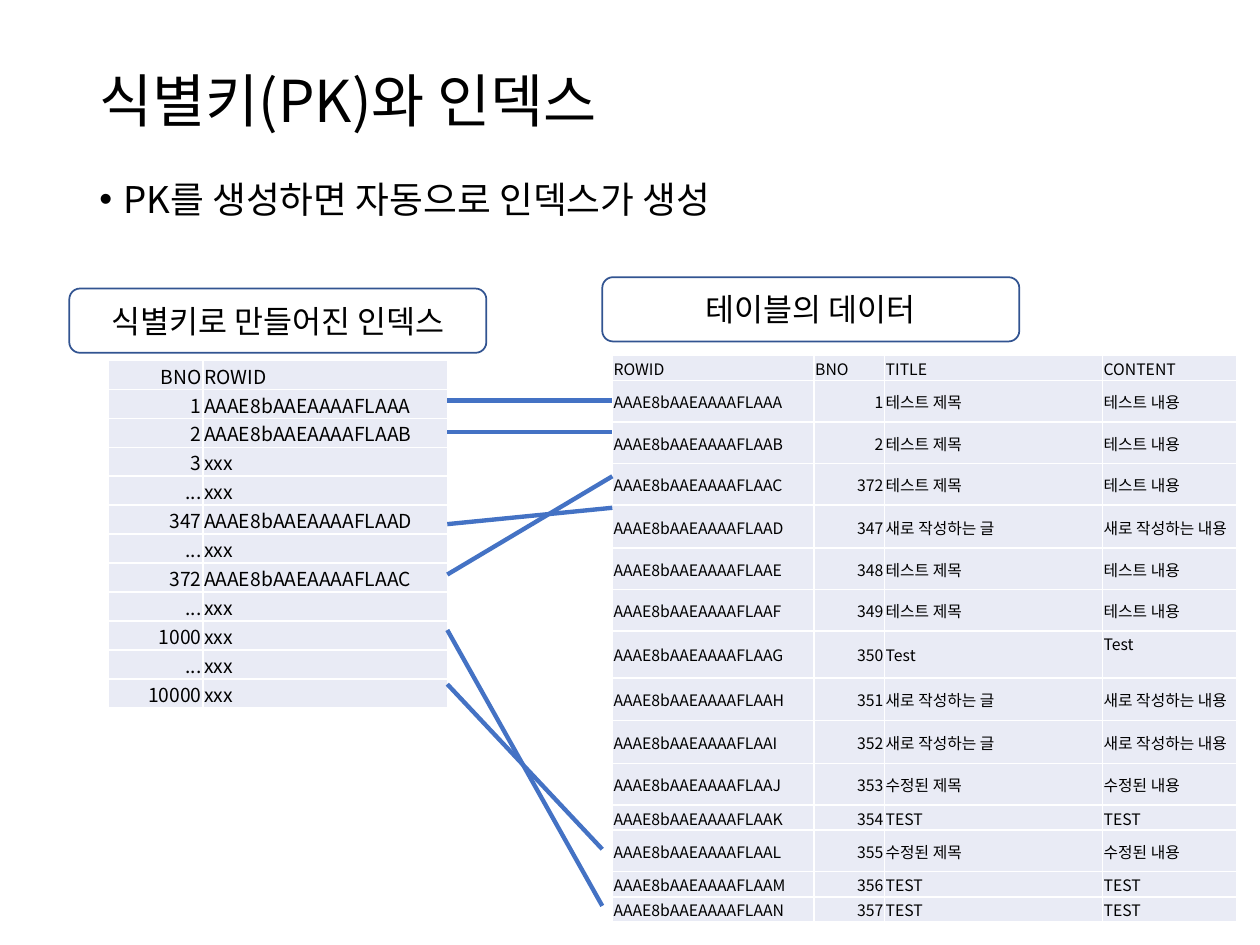
from lxml import etree
from pptx import Presentation
from pptx.dml.color import RGBColor
from pptx.enum.shapes import MSO_CONNECTOR, MSO_SHAPE
from pptx.enum.text import MSO_ANCHOR, PP_ALIGN
from pptx.oxml.ns import qn
from pptx.util import Inches, Pt

FONT = "Noto Sans CJK KR"
LEFT, CENTER, RIGHT = PP_ALIGN.LEFT, PP_ALIGN.CENTER, PP_ALIGN.RIGHT
TOP, MIDDLE = MSO_ANCHOR.TOP, MSO_ANCHOR.MIDDLE
ROUNDED, STRAIGHT = MSO_SHAPE.ROUNDED_RECTANGLE, MSO_CONNECTOR.STRAIGHT


def rgb(value):
    return RGBColor.from_string(value)


def write(tf, text, size=18, align=LEFT, color="000000", spacing=1.0):
    """Put formatted text in the first paragraph and return it."""
    p = tf.paragraphs[0]
    p.alignment, p.line_spacing = align, spacing
    r = p.add_run()
    r.text = text
    r.font.size, r.font.name = Pt(size), FONT
    r.font.color.rgb = rgb(color)
    etree.SubElement(r.font._element, qn("a:ea"), typeface=FONT)
    return p


prs = Presentation()
prs.slide_width, prs.slide_height = Inches(10), Inches(7.5)
s = prs.slides.add_slide(prs.slide_layouts[6])

# Title
tf = s.shapes.add_textbox(Inches(0.69), Inches(0.4), Inches(8.62), Inches(0.85)).text_frame
tf.word_wrap, tf.vertical_anchor = True, MIDDLE
write(tf, "식별키(PK)와 인덱스", size=33, spacing=0.9)

# Bullet
tf = s.shapes.add_textbox(Inches(0.69), Inches(1.39), Inches(8.62), Inches(5.37)).text_frame
tf.word_wrap, tf.vertical_anchor = True, TOP
p = write(tf, "PK를 생성하면 자동으로 인덱스가 생성", size=21, spacing=0.9)
p.space_before = Pt(7.5)
pPr = p._p.get_or_add_pPr()
pPr.set("marL", str(Inches(0.19)))
pPr.set("indent", str(-Inches(0.19)))
etree.SubElement(pPr, qn("a:buFont"), typeface="Arial")
etree.SubElement(pPr, qn("a:buChar"), char="•")

# Table contents
ROWID = "AAAE8bAAEAAAAFLAA"
index_rows = [
    ("BNO", "ROWID"),
    ("1", ROWID + "A"),
    ("2", ROWID + "B"),
    ("3", "xxx"),
    ("...", "xxx"),
    ("347", ROWID + "D"),
    ("...", "xxx"),
    ("372", ROWID + "C"),
    ("...", "xxx"),
    ("1000", "xxx"),
    ("...", "xxx"),
    ("10000", "xxx"),
]
test = ("테스트 제목", "테스트 내용")
new = ("새로 작성하는 글", "새로 작성하는 내용")
edited = ("수정된 제목", "수정된 내용")
upper = ("TEST", "TEST")
records = [
    ("1", test), ("2", test), ("372", test), ("347", new), ("348", test),
    ("349", test), ("350", ("Test", "Test")), ("351", new), ("352", new),
    ("353", edited), ("354", upper), ("355", edited), ("356", upper), ("357", upper),
]
data_rows = [("ROWID", "BNO", "TITLE", "CONTENT")]
for letter, (bno, texts) in zip("ABCDEFGHIJKLMN", records):
    data_rows.append((ROWID + letter, bno, *texts))
data_heights = [0.2, 0.33, 0.33, 0.33, 0.34, 0.33, 0.33, 0.37,
                0.34, 0.34, 0.33, 0.2, 0.33, 0.2, 0.2]

# Tables: left, top, column widths, row heights, rows, text size, right-aligned cells
tables = [
    (0.86, 2.86, [0.75, 1.94], [0.23] * 12, index_rows, 11, lambda i, j: j == 0),
    (4.86, 2.82, [1.6, 0.56, 1.73, 1.07], data_heights, data_rows, 9,
     lambda i, j: j == 1 and i > 0),
]
for x, y, widths, heights, rows, size, is_right in tables:
    table = s.shapes.add_table(len(rows), len(widths), Inches(x), Inches(y),
                               Inches(sum(widths)), Inches(sum(heights))).table
    table.first_row = table.horz_banding = False
    for column, width in zip(table.columns, widths):
        column.width = Inches(width)
    for i, (row, height) in enumerate(zip(rows, heights)):
        table.rows[i].height = Inches(height)
        for j, text in enumerate(row):
            cell = table.cell(i, j)
            cell.margin_left = cell.margin_top = cell.margin_right = Inches(0.01)
            cell.margin_bottom = 0
            cell.vertical_anchor = TOP if (text, j) == ("Test", 3) else MIDDLE
            write(cell.text_frame, text, size=size, align=RIGHT if is_right(i, j) else LEFT)
            # White borders go before the fill in the cell properties
            tcPr = cell._tc.get_or_add_tcPr()
            for side in ("a:lnL", "a:lnR", "a:lnT", "a:lnB"):
                ln = etree.SubElement(tcPr, qn(side), w=str(Pt(1)))
                fill = etree.SubElement(ln, qn("a:solidFill"))
                etree.SubElement(fill, qn("a:srgbClr"), val="FFFFFF")
            cell.fill.solid()
            cell.fill.fore_color.rgb = rgb("E9EBF5")

# Links from index entries to data rows: start y, end x, end y
links = [
    (3.18, 4.86, 3.18),
    (4.16, 4.86, 4.03),
    (3.43, 4.86, 3.43),
    (4.56, 4.86, 3.78),
    (5, 4.78, 7.19),
    (5.43, 4.78, 6.74),
]
for y1, x2, y2 in links:
    link = s.shapes.add_connector(STRAIGHT, Inches(3.55), Inches(y1), Inches(x2), Inches(y2))
    link.line.color.rgb = rgb("4472C4")
    link.line.width = Pt(2.5)
    etree.SubElement(link._element.spPr, qn("a:effectLst"))

# Table captions
for x, y, text in [(0.55, 2.29, "식별키로 만들어진 인덱스"), (4.78, 2.2, "테이블의 데이터")]:
    sp = s.shapes.add_shape(ROUNDED, Inches(x), Inches(y), Inches(3.31), Inches(0.51))
    sp.shadow.inherit = False
    sp.fill.solid()
    sp.fill.fore_color.rgb = rgb("FFFFFF")
    sp.line.color.rgb = rgb("325491")
    sp.line.width = Pt(1)
    sp.text_frame.vertical_anchor = MIDDLE
    write(sp.text_frame, text, align=CENTER)

prs.save("out.pptx")
